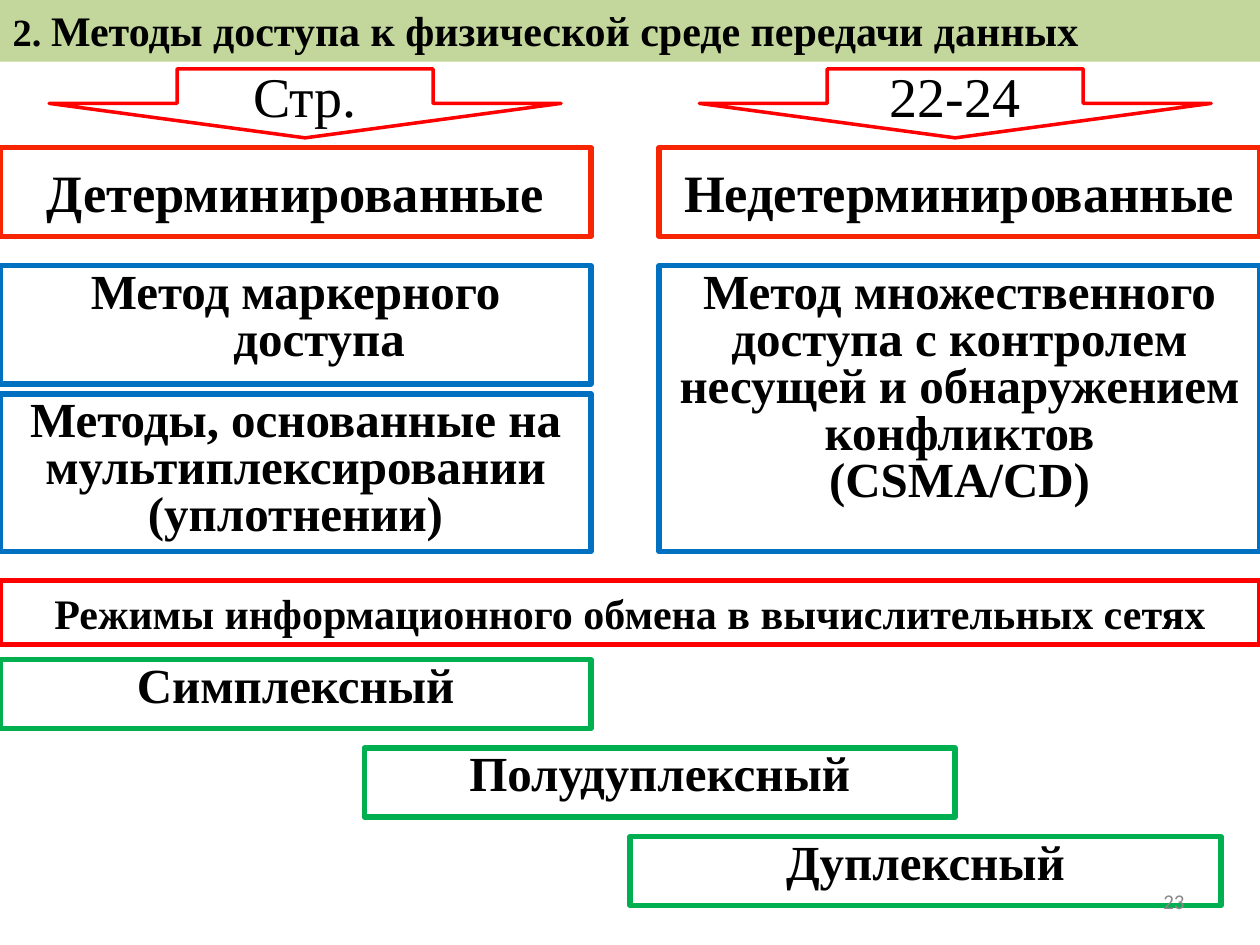
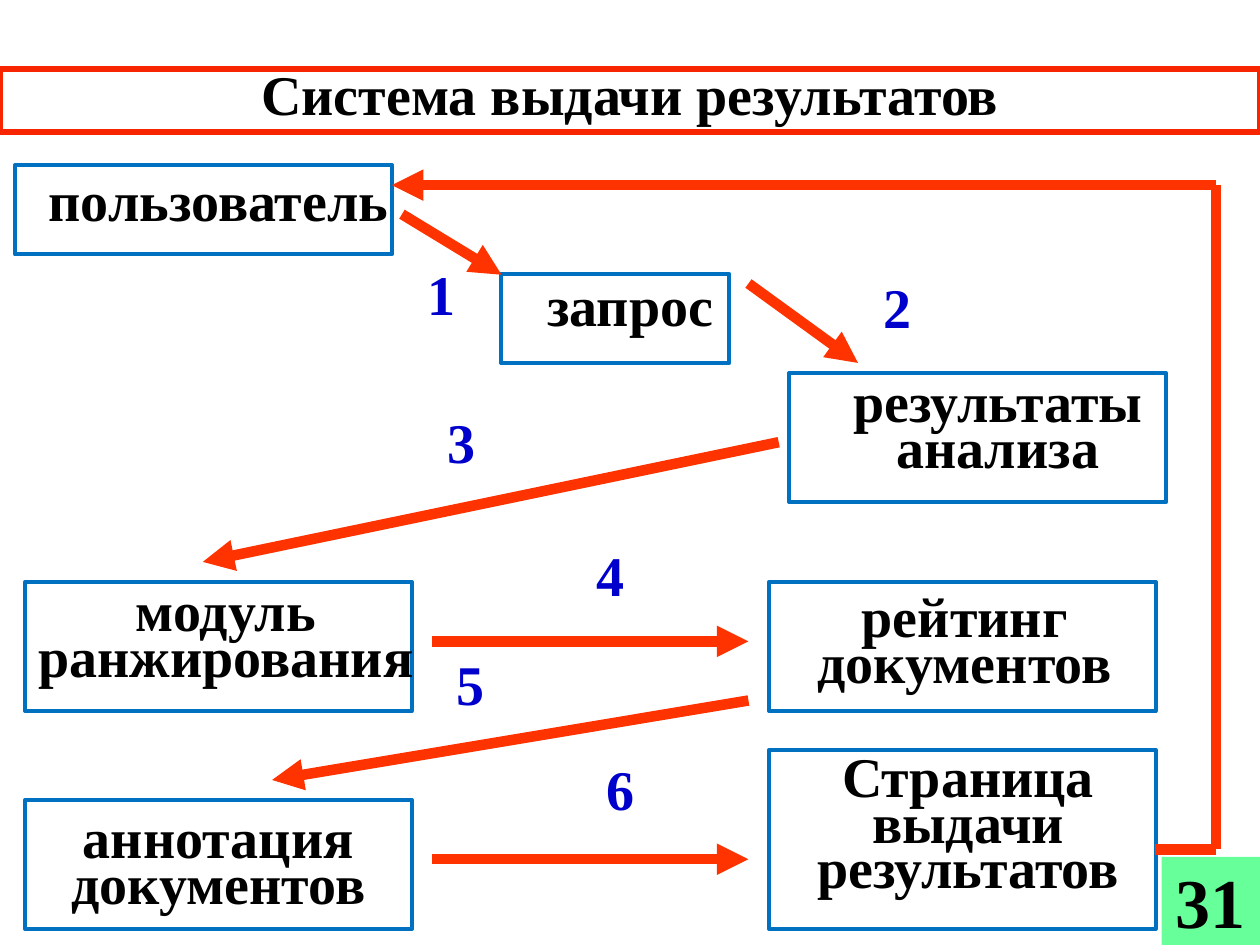
from lxml import etree
from pptx import Presentation
from pptx import util as u
from pptx.dml.color import RGBColor
from pptx.enum import shapes, text
from pptx.oxml.ns import qn

Pt = u.Pt
BLACK = RGBColor(0x00, 0x00, 0x00)
WHITE = RGBColor(0xFF, 0xFF, 0xFF)
OLIVE = RGBColor(0xC3, 0xD6, 0x9B)
MINT = RGBColor(0x66, 0xFF, 0x99)
SCARLET = RGBColor(0xF8, 0x25, 0x02)
RED = RGBColor(0xFF, 0x00, 0x00)
ORANGE = RGBColor(0xFF, 0x33, 0x00)
BLUE = RGBColor(0x00, 0x70, 0xC0)
NAVY = RGBColor(0x00, 0x00, 0xCC)
GREEN = RGBColor(0x00, 0xB0, 0x50)
GRAY = RGBColor(0x89, 0x89, 0x89)

SERIF = "Times New Roman"
SANS = "Calibri"
LEFT, CENTER, RIGHT = text.PP_ALIGN.LEFT, text.PP_ALIGN.CENTER, text.PP_ALIGN.RIGHT
TOP, MIDDLE = text.MSO_ANCHOR.TOP, text.MSO_ANCHOR.MIDDLE
RECT = shapes.MSO_SHAPE.RECTANGLE
DOWN_ARROW = shapes.MSO_SHAPE.DOWN_ARROW
INSETS = (7.2, 3.6, 7.2, 3.6)
PAGE_WIDTH, PAGE_HEIGHT = 720, 540


def apply(target, values):
    for name, value in values.items():
        setattr(target, name, value)


class Board:
    def __init__(self):
        self.deck = Presentation()
        self.deck.slide_width, self.deck.slide_height = Pt(PAGE_WIDTH), Pt(PAGE_HEIGHT)
        self.page = None

    def new_page(self):
        self.page = self.deck.slides.add_slide(self.deck.slide_layouts[5])

    def fill_text(self, shape, paras, size=28, color=BLACK, font=SERIF, bold=True,
                  align=CENTER, anchor=TOP, spacing=1.0, insets=INSETS, hanging=0):
        frame = shape.text_frame
        margins = ("margin_left", "margin_top", "margin_right", "margin_bottom")
        apply(frame, dict(zip(margins, map(Pt, insets))))
        apply(frame, {"word_wrap": True, "auto_size": text.MSO_AUTO_SIZE.NONE,
                      "vertical_anchor": anchor})
        for index, spans in enumerate(paras):
            para = frame.add_paragraph() if index else frame.paragraphs[0]
            apply(para, {"alignment": align, "line_spacing": spacing})
            if hanging:
                props = para._p.get_or_add_pPr()
                props.set("marL", str(Pt(hanging)))
                props.set("indent", str(-Pt(hanging)))
            for words, span_size in [(spans, size)] if isinstance(spans, str) else spans:
                span = para.add_run()
                span.text = words
                apply(span.font, {"name": font, "size": Pt(span_size), "bold": bold})
                span.font.color.rgb = color

    def paint(self, shape, fill=None, line=None, weight=3):
        if fill is None:
            shape.fill.background()
        else:
            shape.fill.solid()
            shape.fill.fore_color.rgb = fill
        if line is None:
            shape.line.fill.background()
        else:
            shape.line.color.rgb = line
            shape.line.width = Pt(weight)

    def title(self, area, spans, fill=None, line=None, **style):
        title = self.page.shapes.title
        apply(title, dict(zip(("left", "top", "width", "height"), map(Pt, area))))
        self.paint(title, fill, line)
        self.fill_text(title, [spans], **style)

    def box(self, area, paras, fill=None, line=None, weight=3, kind=RECT, **style):
        box = self.page.shapes.add_shape(kind, *map(Pt, area))
        box.shadow.inherit = False
        self.paint(box, fill, line, weight)
        self.fill_text(box, paras, **style)

    def label(self, area, words, **style):
        self.fill_text(self.page.shapes.add_textbox(*map(Pt, area)), [words], **style)

    def line(self, start, end, arrow=True):
        line = self.page.shapes.add_connector(
            shapes.MSO_CONNECTOR.STRAIGHT, *map(Pt, start + end))
        line.line.color.rgb = ORANGE
        line.line.width = Pt(6)
        if arrow:
            etree.SubElement(line.line._get_or_add_ln(), qn("a:tailEnd"), type="triangle")
        etree.SubElement(line._element.spPr, qn("a:effectLst"))


def access_methods(board):
    board.new_page()
    board.title((0, 0, PAGE_WIDTH, 35.3),
                [("2. ", 22), ("Методы доступа к физической среде передачи данных", 24)],
                fill=OLIVE, align=LEFT, spacing=Pt(28))

    left, left_width = 0, 337.7
    right, right_width = 376.6, 343.4
    for x, words in ((28.1, "Стр."), (399.6, "22-24")):
        board.box((x, 39.4, 292.5, 39.4), [words], line=RED, weight=2,
                  kind=DOWN_ARROW, size=32, bold=False, anchor=MIDDLE)
    for x, width, words in ((left, left_width, "Детерминированные"),
                            (right, right_width, "Недетерминированные")):
        board.box((x, 84.4, width, 50.6), [words], line=SCARLET, size=30, anchor=MIDDLE)

    methods = (
        ((left, 151.9, left_width, 67.5), ["Метод маркерного доступа"], 27),
        ((left, 225.1, left_width, 90),
         ["Методы, основанные на мультиплексировании", "(уплотнении)"], 0),
        ((right, 151.9, right_width, 163.2),
         ["Метод множественного доступа с контролем несущей и обнаружением конфликтов",
          "(CSMA/CD)"], 0),
    )
    for area, paras, hanging in methods:
        board.box(area, paras, line=BLUE, spacing=0.8, hanging=hanging)

    board.box((0, 331.9, PAGE_WIDTH, 36.3),
              ["Режимы информационного обмена в вычислительных сетях"], line=RED, size=24)
    modes = ((0, "Симплексный"), (208.1, "Полудуплексный"), (360, "Дуплексный"))
    for step, (x, words) in enumerate(modes):
        board.box((x, 376.9 + 50.6 * step, left_width, 39.4), [words],
                  line=GREEN, spacing=0.8)
    board.label((516, 500.5, 168, 28.8), "23", size=12, font=SANS, color=GRAY,
                bold=False, align=RIGHT, anchor=MIDDLE)


def results_system(board):
    board.new_page()
    board.title((0, 39.4, PAGE_WIDTH, 36), "Система выдачи результатов", fill=WHITE,
                line=SCARLET, size=32, anchor=MIDDLE, spacing=Pt(30))

    flow = {"size": 32, "spacing": Pt(26)}
    nodes = (
        ((8.6, 94.4, 215.4, 51), "пользователь", (13, 0, -4.3, 0)),
        ((286.3, 156.5, 130.4, 51), "запрос", (13, 0, -4.3, 4)),
        ((451, 213.2, 215.4, 73.7), "результаты анализа", (13, 0, -10, 4)),
        ((14.3, 332.6, 221.1, 73.7), "модуль ранжирования", (4.3, 0, -4.3, 4)),
        ((439.4, 332.6, 221.1, 73.7), "рейтинг документов", (12.2, 3, 9.4, 0)),
        ((14.3, 457.2, 221.1, 73.7), "аннотация документов", (4.3, 6, 4.3, 0)),
        ((439.4, 428.6, 221.1, 102.2), "Страница выдачи результатов", (18.7, 0, 12.2, 9)),
    )
    for area, words, insets in nodes:
        board.box(area, [words], line=BLUE, weight=2.25, anchor=MIDDLE,
                  insets=insets, **flow)

    steps = (
        ((229.7, 122.4), (286.6, 157), (235.4, 157)),
        ((427.7, 162), (490.3, 207.4), (496.1, 164.9)),
        ((445, 252.7), (115.9, 321.1), (247, 241.9)),
        ((247, 366.5), (427.7, 366.5), (331.9, 317.5)),
        ((427.7, 400.3), (155.5, 445.7), (252, 380.2)),
        ((247, 491), (427.7, 491), (337.7, 439.9)),
    )
    for number, (start, end, corner) in enumerate(steps, 1):
        board.line(start, end)
        board.label(corner + (33.8, 33.1), str(number), color=NAVY, **flow)

    route = ((660.2, 485.3), (694.8, 485.3), (694.8, 105.8), (223.9, 105.8))
    for start, end in zip(route, route[1:]):
        board.line(start, end, arrow=end == route[-1])
    board.box((663.8, 489.6, 56.2, 50.4), ["31"], fill=MINT, size=40, anchor=MIDDLE)


def main():
    board = Board()
    access_methods(board)
    results_system(board)
    board.deck.save("out.pptx")


if __name__ == "__main__":
    main()
